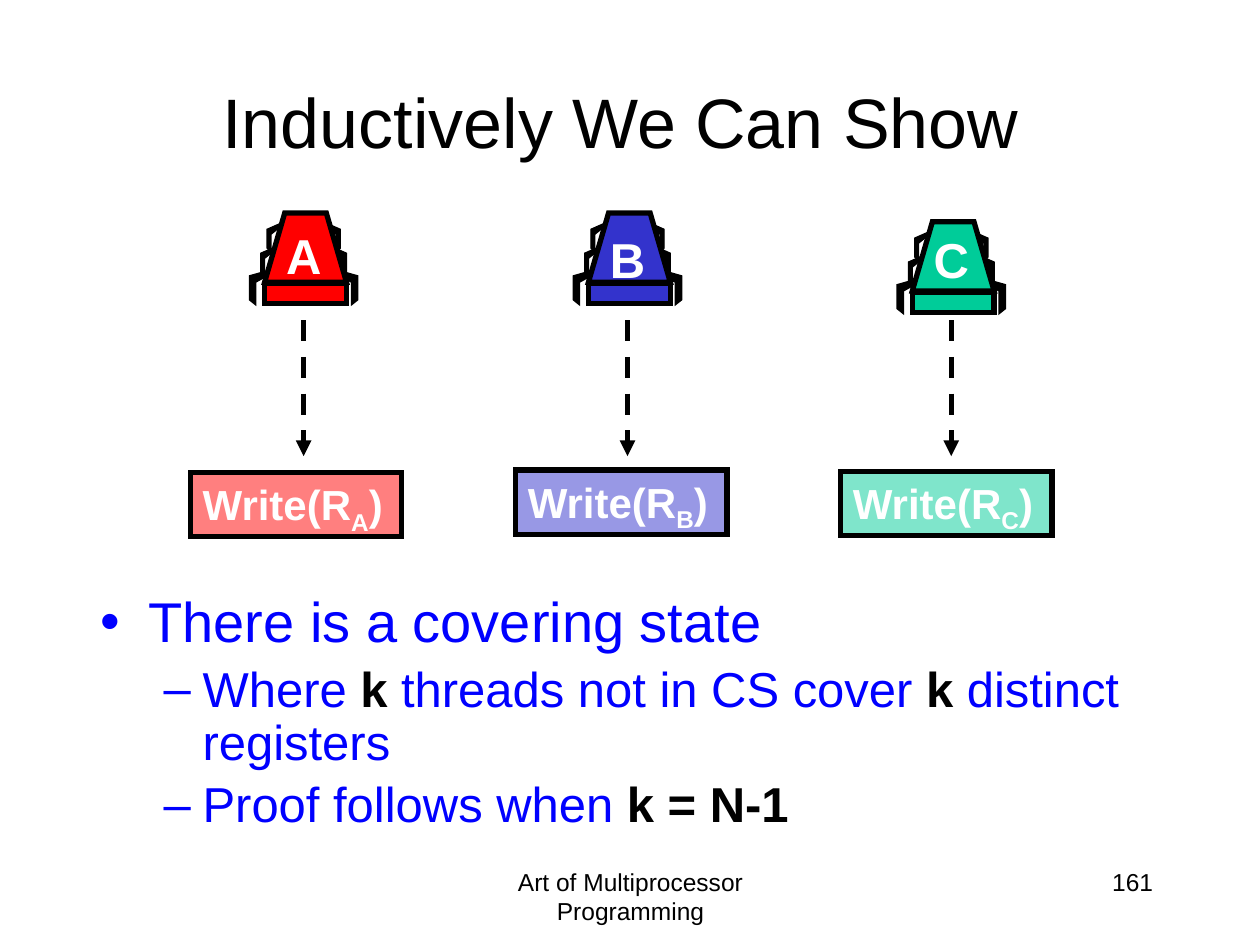
"""Build the covering-state slide: three robots, each about to write its register."""
import pptx
import pptx.dml.color
import pptx.enum.dml
import pptx.enum.shapes
import pptx.enum.text
import pptx.oxml
import pptx.oxml.ns
import pptx.util
from pptx.util import Inches

ALIGN = pptx.enum.text.PP_ALIGN
SHAPE = pptx.enum.shapes.MSO_SHAPE
NS = pptx.oxml.ns.nsdecls("a")


def paint(sp, fill, width):
    sp.shadow.inherit = False
    sp.fill.solid()
    sp.fill.fore_color.rgb = pptx.dml.color.RGBColor.from_string(fill)
    sp.line.color.rgb = pptx.dml.color.RGBColor.from_string("000000")
    sp.line.width = pptx.util.Pt(width)
    ln = sp.line._get_or_add_ln()
    ln.append(pptx.oxml.parse_xml(f'<a:miter {NS} lim="800000"/>'))


def add_run(p, text, size, color="000000", bold=False):
    r = p.add_run()
    r.text = text
    r.font.name = "Arial"
    r.font.size = pptx.util.Pt(size)
    r.font.bold = bold
    r.font.color.rgb = pptx.dml.color.RGBColor.from_string(color)
    return r


prs = pptx.Presentation()
prs.slide_width = Inches(10)
prs.slide_height = Inches(7.5)
s = prs.slides.add_slide(prs.slide_layouts[6])

labels = [
    ("Inductively We Can Show ", 0.75, 0.33, 8.5, 1.25, 40, ALIGN.CENTER),
    ("Art of Multiprocessor Programming", 3.42, 6.83, 3.17, 0.5, 14, ALIGN.CENTER),
    ("161", 7.17, 6.83, 2.08, 0.5, 14, ALIGN.RIGHT),
]
for text, x, y, w, h, size, align in labels:
    tf = s.shapes.add_textbox(Inches(x), Inches(y), Inches(w), Inches(h)).text_frame
    tf.word_wrap = True
    if size == 40:
        tf.vertical_anchor = pptx.enum.text.MSO_ANCHOR.MIDDLE
    p = tf.paragraphs[0]
    p.alignment = align
    add_run(p, text, size)

bullets = [
    (0, "•", 0.38, -0.38, 32, ["There is a covering state"]),
    (1, "–", 0.81, -0.31, 28,
     ["Where ", "k", " threads not in CS cover ", "k", " distinct registers"]),
    (1, "–", 0.81, -0.31, 28, ["Proof follows when ", "k = N-1"]),
]
tf = s.shapes.add_textbox(Inches(0.7), Inches(4.67), Inches(9.3), Inches(1.7)).text_frame
tf.word_wrap = True
for i, (level, mark, margin, indent, size, runs) in enumerate(bullets):
    p = tf.add_paragraph() if i else tf.paragraphs[0]
    p.level = level
    p.line_spacing = 0.9
    p.space_before = pptx.util.Pt(5.6 if i else 0)
    pPr = p._p.get_or_add_pPr()
    pPr.set("marL", str(Inches(margin)))
    pPr.set("indent", str(Inches(indent)))
    pPr.append(pptx.oxml.parse_xml(f'<a:buClr {NS}><a:srgbClr val="0000FF"/></a:buClr>'))
    pPr.append(pptx.oxml.parse_xml(f'<a:buFont {NS} typeface="Arial"/>'))
    pPr.append(pptx.oxml.parse_xml(f'<a:buChar {NS} char="{mark}"/>'))
    for j, text in enumerate(runs):
        add_run(p, text, size, "000000" if j % 2 else "0000FF", bool(j % 2))

robot_width = 0.86
big_leg = [(0.14, 0.46), (0, 0.5), (0, 0.69), (0.05, 0.73), (0.05, 0.55), (0.14, 0.5)]
small_leg = [(0.09, 0), (0, 0.04), (0, 0.19), (0.03, 0.22), (0.03, 0.08), (0.08, 0.04)]
left_legs = [big_leg] + [[(x + dx, y + dy) for x, y in small_leg]
                         for dx, dy in ((0.09, 0.28), (0.14, 0.09))]
right_legs = [[(robot_width - x, y) for x, y in leg] for leg in left_legs]
torso = [(0.12, 0.55), (0.28, 0), (0.61, 0), (0.77, 0.55)]

threads = [
    ("A", "FF0000", 1.69, 1.74, 3.75),
    ("B", "3333CC", 1.69, 1.77, 3.73),
    ("C", "00CC99", 1.76, 1.77, 3.74),
]
for i, (name, color, top, letter_top, box_top) in enumerate(threads):
    left = 1.98 + 2.57 * i
    robot = s.shapes.add_group_shape()
    parts = [(leg, "000000", 0.75) for leg in left_legs + right_legs]
    for points, fill, width in parts + [(torso, color, 3)]:
        corners = [(Inches(left + x), Inches(top + y)) for x, y in points]
        outline = robot.shapes.build_freeform(*corners[0])
        outline.add_line_segments(corners[1:], close=True)
        paint(outline.convert_to_shape(), fill, width)
    base = robot.shapes.add_shape(SHAPE.RECTANGLE, Inches(left + 0.12), Inches(top + 0.56),
                                  Inches(0.65), Inches(0.16))
    paint(base, color, 3)
    letter = s.shapes.add_textbox(Inches(left + 0.19), Inches(letter_top),
                                  Inches(0.48), Inches(0.57))
    letter.text_frame.word_wrap = False
    p = letter.text_frame.paragraphs[0]
    p.alignment = ALIGN.CENTER
    add_run(p, name, 28, "FFFFFF", True)

    box = s.shapes.add_shape(SHAPE.RECTANGLE, Inches(1.51 + 2.58 * i), Inches(box_top),
                             Inches(1.68), Inches(0.51))
    paint(box, color, 3)
    srgb = box.fill._xPr.find(".//" + pptx.oxml.ns.qn("a:srgbClr"))
    srgb.append(pptx.oxml.parse_xml(f'<a:alpha {NS} val="50000"/>'))
    tf = box.text_frame
    tf.word_wrap = False
    tf.auto_size = pptx.enum.text.MSO_AUTO_SIZE.SHAPE_TO_FIT_TEXT
    tf.vertical_anchor = pptx.enum.text.MSO_ANCHOR.TOP
    p = tf.paragraphs[0]
    p.alignment = ALIGN.LEFT
    add_run(p, "Write(R", 24, "FFFFFF", True)
    r = add_run(p, name, 24, "FFFFFF", True)
    r.font._element.set("baseline", "-25000")
    add_run(p, ")", 24, "FFFFFF", True)

    x = Inches(left + robot_width / 2)
    arrow = s.shapes.add_connector(pptx.enum.shapes.MSO_CONNECTOR.STRAIGHT,
                                   x, Inches(2.54), x, Inches(3.62))
    arrow.line.color.rgb = pptx.dml.color.RGBColor.from_string("000000")
    arrow.line.width = pptx.util.Pt(3)
    arrow.line.dash_style = pptx.enum.dml.MSO_LINE.DASH
    ln = arrow.line._get_or_add_ln()
    ln.append(pptx.oxml.parse_xml(f'<a:tailEnd {NS} type="triangle"/>'))
    ln.getparent().append(pptx.oxml.parse_xml(f"<a:effectLst {NS}/>"))

prs.save("out.pptx")
